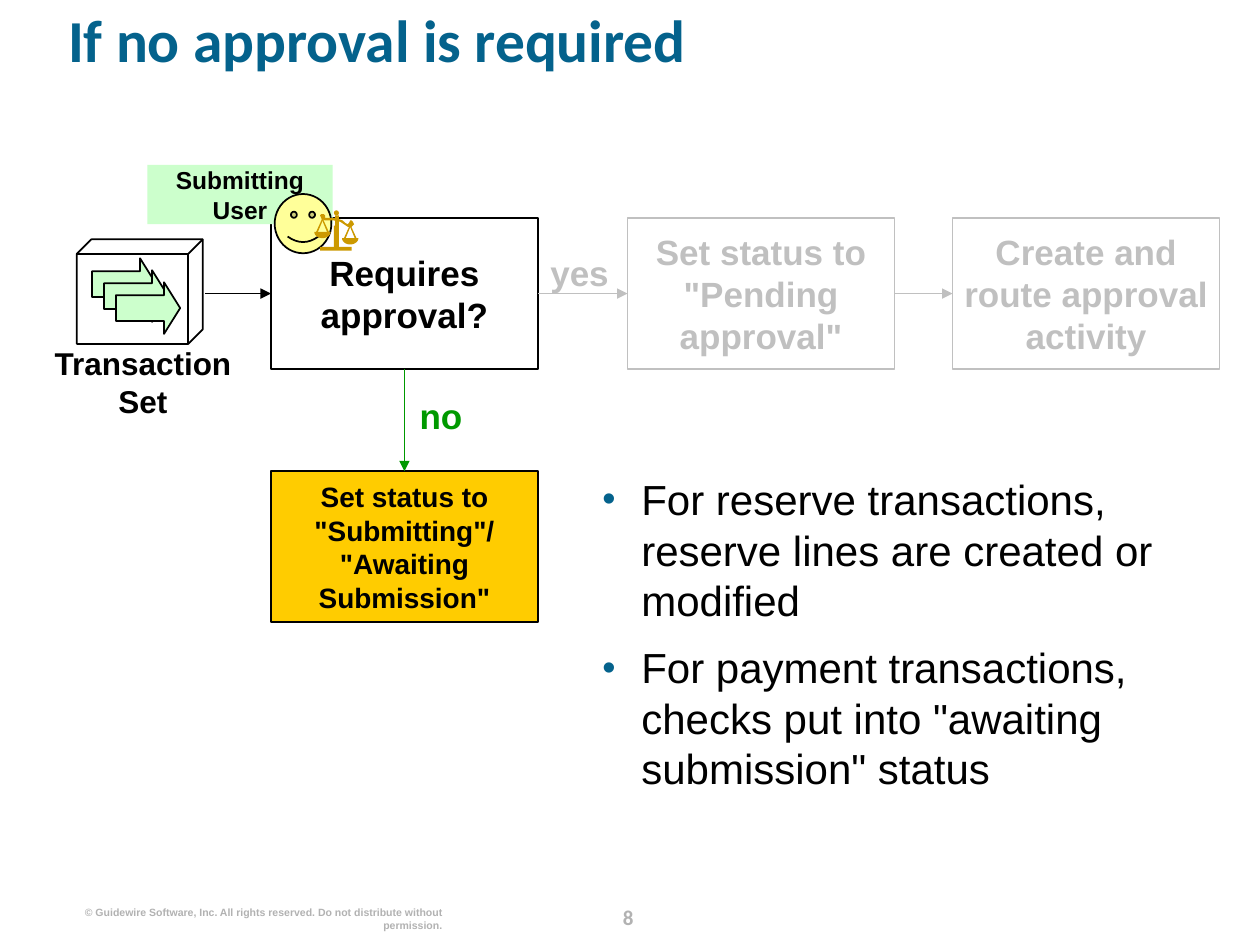
from math import cos, pi, sin

from lxml.etree import SubElement
from pptx import Presentation
from pptx.dml.color import RGBColor
from pptx.enum.shapes import MSO_CONNECTOR, MSO_SHAPE
from pptx.enum.text import MSO_ANCHOR, PP_ALIGN
from pptx.oxml.ns import qn
from pptx.util import Inches, Pt

COLORS = {
    "title": "04628C", "black": "000000", "faded": "C0C0C0", "footer": "B2B2B2",
    "yes_no": "009900", "result": "FFCC00", "mint": "CCFFCC", "face": "FFFF99",
    "scales": "CC9900",
}
LEFT, CENTER, RIGHT = PP_ALIGN.LEFT, PP_ALIGN.CENTER, PP_ALIGN.RIGHT

TITLE = "If no approval is required"
BULLETS = [
    "For reserve transactions, reserve lines are created or modified",
    'For payment transactions, checks put into "awaiting submission" status',
]
COPYRIGHT = "© Guidewire Software, Inc. All rights reserved. Do not distribute without permission."
PAGE_NUMBER = "8"

STEP_SIZE = (2.12, 1.2)
STEPS = {
    "check": ("Requires approval?", 2.15, 1.73, 20, "black", None),
    "pending": ('Set status to "Pending approval"', 4.98, 1.73, 20, "faded", None),
    "route": ("Create and route approval activity", 7.56, 1.73, 20, "faded", None),
    "submit": ('Set status to "Submitting"/\n"Awaiting Submission"', 2.15, 3.74, 16, "black", "result"),
}
FLOWS = [
    ("check", 3, "pending", 1, "faded"),
    ("check", 2, "submit", 0, "yes_no"),
    ("pending", 3, "route", 1, "faded"),
]
LABELS = [
    ("yes", (4.27, 2, 0.66, 0.33), 20, "faded", CENTER),
    ("no", (3.33, 3.13, 0.41, 0.33), 20, "yes_no", LEFT),
    ("Transaction\nSet", (0.4, 2.73, 1.47, 0.6), 18, "black", CENTER),
]
BEAM = [
    (2.81, 1.78), (2.8, 1.76), (2.79, 1.75), (2.78, 1.75), (2.77, 1.77), (2.76, 1.78),
    (2.74, 1.77), (2.72, 1.75), (2.69, 1.74), (2.66, 1.73), (2.58, 1.73), (2.58, 1.71),
    (2.57, 1.7), (2.55, 1.7), (2.54, 1.71), (2.55, 1.73), (2.56, 1.74), (2.58, 1.75),
    (2.65, 1.75), (2.7, 1.76), (2.73, 1.78), (2.76, 1.8), (2.79, 1.8), (2.81, 1.78),
]
POST_AND_BASE = [
    (MSO_SHAPE.RECTANGLE, (2.66, 1.71, 0.03, 0.11)),
    (MSO_SHAPE.RECTANGLE, (2.65, 1.79, 0.04, 0.18)),
    (MSO_SHAPE.OVAL, (2.65, 1.67, 0.04, 0.04)),
    (MSO_SHAPE.RECTANGLE, (2.54, 1.96, 0.25, 0.03)),
]
HOOKS = [(2.56, 1.73), (2.78, 1.78)]

prs = Presentation()
prs.slide_width, prs.slide_height = Inches(10), Inches(7.5)
slide = prs.slides.add_slide(prs.slide_layouts[6])
shapes = slide.shapes


def rgb(name):
    return RGBColor.from_string(COLORS[name])


def paint(shape, fill=None, line=None):
    shape.shadow.inherit = False
    if fill:
        shape.fill.solid()
        shape.fill.fore_color.rgb = rgb(fill)
    else:
        shape.fill.background()
    if line:
        shape.line.color.rgb = rgb(line)
        shape.line.width = Pt(1)
    else:
        shape.line.fill.background()
    return shape


def add_preset(kind, box, fill=None, line=None, adjustments=()):
    shape = paint(shapes.add_shape(kind, *map(Inches, box)), fill, line)
    for index, value in enumerate(adjustments):
        shape.adjustments[index] = value
    return shape


def prepare_frame(shape, anchor, inset=0):
    frame = shape.text_frame
    frame.word_wrap = True
    frame.vertical_anchor = anchor
    frame.margin_left = frame.margin_right = Inches(inset)
    frame.margin_top = frame.margin_bottom = 0
    return frame


def write(paragraph, text, size, color, align=LEFT, bold=True, font="Arial"):
    paragraph.alignment = align
    for index, line in enumerate(text.split("\n")):
        if index:
            paragraph.add_line_break()
        run = paragraph.add_run()
        run.text = line
        run.font.name, run.font.size, run.font.bold = font, Pt(size), bold
        run.font.color.rgb = rgb(color)


def add_text(text, box, size, color, align=LEFT, font="Arial"):
    frame = prepare_frame(shapes.add_textbox(*map(Inches, box)), MSO_ANCHOR.TOP)
    write(frame.paragraphs[0], text, size, color, align, font=font)
    return frame.paragraphs[0]


def add_bullet(paragraph):
    props = paragraph._p.get_or_add_pPr()
    props.set("marL", str(Inches(0.31)))
    props.set("indent", str(-Inches(0.31)))
    color = SubElement(props, qn("a:buClr"))
    SubElement(color, qn("a:srgbClr"), val=COLORS["title"])
    SubElement(props, qn("a:buSzPct"), val="90000")
    SubElement(props, qn("a:buFont"), typeface="Arial")
    SubElement(props, qn("a:buChar"), char="•")


def add_arrow(start, end, color):
    arrow = shapes.add_connector(MSO_CONNECTOR.STRAIGHT, *map(Inches, start + end))
    arrow.line.color.rgb = rgb(color)
    arrow.line.width = Pt(1)
    SubElement(arrow.line._get_or_add_ln(), qn("a:tailEnd"), type="triangle")
    SubElement(arrow._element.spPr, qn("a:effectLst"))
    return arrow


def add_outline(points):
    corners = [(Inches(x), Inches(y)) for x, y in points]
    builder = shapes.build_freeform(*corners[0])
    builder.add_line_segments(corners[1:], close=True)
    paint(builder.convert_to_shape(), "scales")


page = add_text(PAGE_NUMBER, (4.7, 7.13, 0.57, 0.25), 12, "footer", CENTER, "Calibri")
page.line_spacing = Pt(18)
add_text(COPYRIGHT, (0.61, 7.19, 2.9, 0.2), 6, "footer", RIGHT)
add_text(TITLE, (0.54, 0.13, 9.1, 0.81), 34, "title", font="Calibri").line_spacing = 0.8

body = prepare_frame(shapes.add_textbox(*map(Inches, (4.78, 3.76, 4.92, 3.23))), MSO_ANCHOR.TOP)
for index, bullet in enumerate(BULLETS):
    paragraph = body.add_paragraph() if index else body.paragraphs[0]
    add_bullet(paragraph)
    if index:
        paragraph.space_before = Pt(9.6)
    write(paragraph, bullet, 24, "black", bold=False)

for index in range(3):
    offset = 0.095 * index
    add_preset(MSO_SHAPE.RIGHT_ARROW, (0.73 + offset, 2.05 + offset, 0.51, 0.41),
               "mint", "black", (0.5, 0.313))
add_preset(MSO_SHAPE.CUBE, (0.61, 1.9, 1, 0.83), None, "black", (0.139,))

boxes = {}
for key, (text, left, top, size, color, fill) in STEPS.items():
    boxes[key] = add_preset(MSO_SHAPE.RECTANGLE, (left, top) + STEP_SIZE, fill, color)
    frame = prepare_frame(boxes[key], MSO_ANCHOR.MIDDLE, 0.04)
    write(frame.paragraphs[0], text, size, color, CENTER)

for source, source_side, target, target_side, color in FLOWS:
    flow = add_arrow((0, 0), (1, 1), color)
    flow.begin_connect(boxes[source], source_side)
    flow.end_connect(boxes[target], target_side)
add_arrow((1.63, 2.33), (2.15, 2.33), "black").end_connect(boxes["check"], 1)

for text, box, size, color, align in LABELS:
    add_text(text, box, size, color, align)

user = add_preset(MSO_SHAPE.RECTANGLE, (1.17, 1.31, 1.47, 0.47), "mint")
write(prepare_frame(user, MSO_ANCHOR.MIDDLE).paragraphs[0], "Submitting User", 14, "black", CENTER)
add_preset(MSO_SHAPE.SMILEY_FACE, (2.18, 1.54, 0.45, 0.47), "face", "black", (0.047,))

add_outline(BEAM)
for x, y in HOOKS:
    add_outline([(x + 0.065 * cos(pi * step / 16), y + 0.11 + 0.05 * sin(pi * step / 16))
                 for step in range(17)])
    for side in (-1, 1):
        add_outline([(x + side * 0.04, y + 0.12), (x - side * 0.01, y),
                     (x, y), (x + side * 0.05, y + 0.11)])
for kind, box in POST_AND_BASE:
    add_preset(kind, box, "scales")

prs.save("out.pptx")
